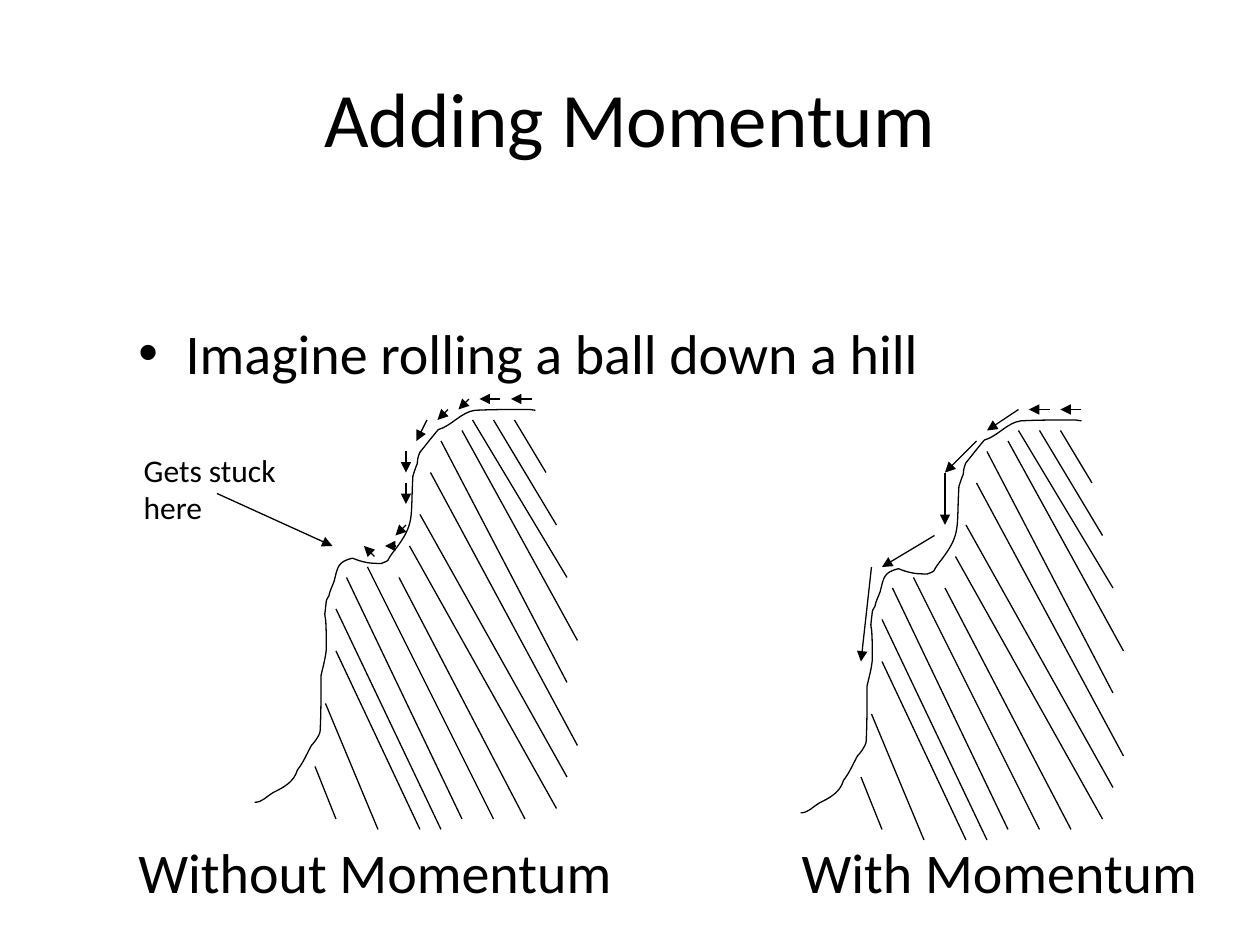
from lxml import etree
from pptx import Presentation
from pptx.dml.color import RGBColor
from pptx.enum.shapes import MSO_CONNECTOR
from pptx.enum.text import MSO_ANCHOR, PP_ALIGN
from pptx.oxml.ns import qn
from pptx.util import Pt

PX = 6350  # 144 px to the inch
STEP = 12  # px in one grid step of the hill drawings
BLACK = RGBColor(0, 0, 0)
FONT = "Calibri"
LINE_WIDTH = Pt(0.75)
LEFT, CENTER = PP_ALIGN.LEFT, PP_ALIGN.CENTER
TOP, MIDDLE = MSO_ANCHOR.TOP, MSO_ANCHOR.MIDDLE
STRAIGHT = MSO_CONNECTOR.STRAIGHT

# Start point, then two control points and an end point per curve, in px
OUTLINE_START = (324, 13)
OUTLINE_CURVES = [
    ((321, 13), (320, 12), (317, 12)),
    ((295, 12), (275, 12), (255, 13)),
    ((239, 15), (228, 31), (213, 35)),
    ((203, 47), (200, 51), (192, 61)),
    ((190, 65), (189, 70), (189, 74)),
    ((187, 78), (184, 88), (184, 88)),
    ((181, 136), (187, 142), (163, 173)),
    ((151, 188), (160, 183), (148, 188)),
    ((141, 188), (134, 188), (127, 186)),
    ((122, 185), (115, 182), (115, 182)),
    ((98, 186), (98, 192), (94, 208)),
    ((92, 214), (89, 219), (88, 225)),
    ((86, 227), (85, 231), (85, 231)),
    ((81, 267), (85, 224), (85, 284)),
    ((85, 293), (81, 307), (79, 316)),
    ((79, 337), (79, 358), (78, 379)),
    ((78, 385), (69, 395), (68, 396)),
    ((62, 407), (59, 415), (52, 424)),
    ((48, 438), (36, 444), (24, 450)),
    ((17, 454), (12, 461), (3, 461)),
]
# Lines as x1, y1, x2, y2 in grid steps from the corner of the hill's box
HATCHING = [
    (25, 2, 28, 7), (23, 2, 29, 12), (21, 2, 30, 17), (20, 3, 31, 23),
    (18, 4, 30, 27), (17, 7, 31, 33), (16, 11, 30, 36), (15, 14, 29, 39),
    (14, 17, 26, 40), (11, 16, 23, 40), (9, 17, 20, 40), (8, 20, 18, 41),
    (8, 24, 16, 41), (7, 29, 12, 41), (6, 35, 8, 40),
]
PLAIN_ROLL = [
    (27, 0, 25, 0), (24, 0, 22, 0), (21, 0, 20, 1), (19, 1, 18, 2),
    (17, 2, 16, 4), (15, 5, 15, 7), (15, 8, 15, 10), (15, 12, 14, 13),
    (14, 14, 13, 14), (12, 15, 11, 14),
]
STUCK_POINTER = (-3, 9, 8, 14)
MOMENTUM_ROLL = [
    (27, 0, 25, 0), (24, 0, 22, 0), (21, 0, 18, 2), (17, 3, 14, 6),
    (14, 6, 14, 11), (13, 12, 8, 15), (7, 15, 6, 24),
]


def add_text(slide, box, text, size, align=LEFT, anchor=TOP, wrap=True,
             spacing=None):
    """Place text, one paragraph per line, and return its paragraphs."""
    shape = slide.shapes.add_textbox(*(value * PX for value in box))
    frame = shape.text_frame
    frame.word_wrap = wrap
    frame.vertical_anchor = anchor
    frame.text = text
    for paragraph in frame.paragraphs:
        paragraph.alignment = align
        paragraph.line_spacing = spacing
        for run in paragraph.runs:
            run.font.name = FONT
            run.font.size = Pt(size)
            run.font.color.rgb = BLACK
    return frame.paragraphs


def add_body(slide, box):
    """Place the bullet at the top and both hill captions on one tabbed line."""
    bullet, captions = add_text(
        slide, box,
        "Imagine rolling a ball down a hill\nWithout Momentum\tWith Momentum",
        32, spacing=0.8)
    properties = bullet._p.get_or_add_pPr()
    properties.set("marL", str(54 * PX))
    properties.set("indent", str(-54 * PX))
    etree.SubElement(properties, qn("a:buFont"), typeface="Arial")
    etree.SubElement(properties, qn("a:buChar"), char="•")
    captions.space_before = Pt(266)
    tabs = etree.SubElement(captions._p.get_or_add_pPr(), qn("a:tabLst"))
    etree.SubElement(tabs, qn("a:tab"), pos=str(758 * PX), algn="l")


def style_line(line):
    line.color.rgb = BLACK
    line.width = LINE_WIDTH


def add_lines(slide, origin, lines, shift=0, arrow=False):
    """Draw grid lines from origin, moved right by shift px."""
    left, top = origin[0] + shift, origin[1]
    for x1, y1, x2, y2 in lines:
        connector = slide.shapes.add_connector(
            STRAIGHT,
            (left + x1 * STEP) * PX, (top + y1 * STEP) * PX,
            (left + x2 * STEP) * PX, (top + y2 * STEP) * PX)
        style_line(connector.line)
        if arrow:
            etree.SubElement(connector.line._get_or_add_ln(),
                             qn("a:tailEnd"), type="triangle")
        etree.SubElement(connector._element.spPr, qn("a:effectLst"))


def bend_segments(shape):
    """Turn every three straight segments into one cubic curve."""
    segments = list(shape._element.iter(qn("a:lnTo")))
    for index in range(0, len(segments), 3):
        curve = etree.Element(qn("a:cubicBezTo"))
        segments[index].addprevious(curve)
        for segment in segments[index:index + 3]:
            curve.append(segment[0])
            segment.getparent().remove(segment)


def add_outline(slide, origin):
    left, top = origin
    builder = slide.shapes.build_freeform(
        (left + OUTLINE_START[0]) * PX, (top + OUTLINE_START[1]) * PX)
    builder.add_line_segments(
        [((left + x) * PX, (top + y) * PX)
         for curve in OUTLINE_CURVES for x, y in curve],
        close=False)
    shape = builder.convert_to_shape()
    bend_segments(shape)
    shape.shadow.inherit = False
    shape.fill.background()
    style_line(shape.line)


def add_hill(slide, origin, roll, shift=0):
    add_outline(slide, origin)
    add_lines(slide, origin, roll, shift=shift, arrow=True)
    add_lines(slide, origin, HATCHING)


def build_slide(presentation):
    slide = presentation.slides.add_slide(presentation.slide_layouts[6])
    add_text(slide, (72, 43, 1296, 180), "Adding Momentum", 44,
             align=CENTER, anchor=MIDDLE)
    add_body(slide, (144, 372, 1296, 708))
    add_hill(slide, (288, 456), PLAIN_ROLL + [STUCK_POINTER], shift=-4)
    add_text(slide, (150, 508, 213, 82), "Gets stuck\nhere", 18, wrap=False)
    add_hill(slide, (912, 468), MOMENTUM_ROLL)


def main():
    presentation = Presentation()
    presentation.slide_width = 1440 * PX
    presentation.slide_height = 1080 * PX
    build_slide(presentation)
    presentation.save("out.pptx")


if __name__ == "__main__":
    main()
